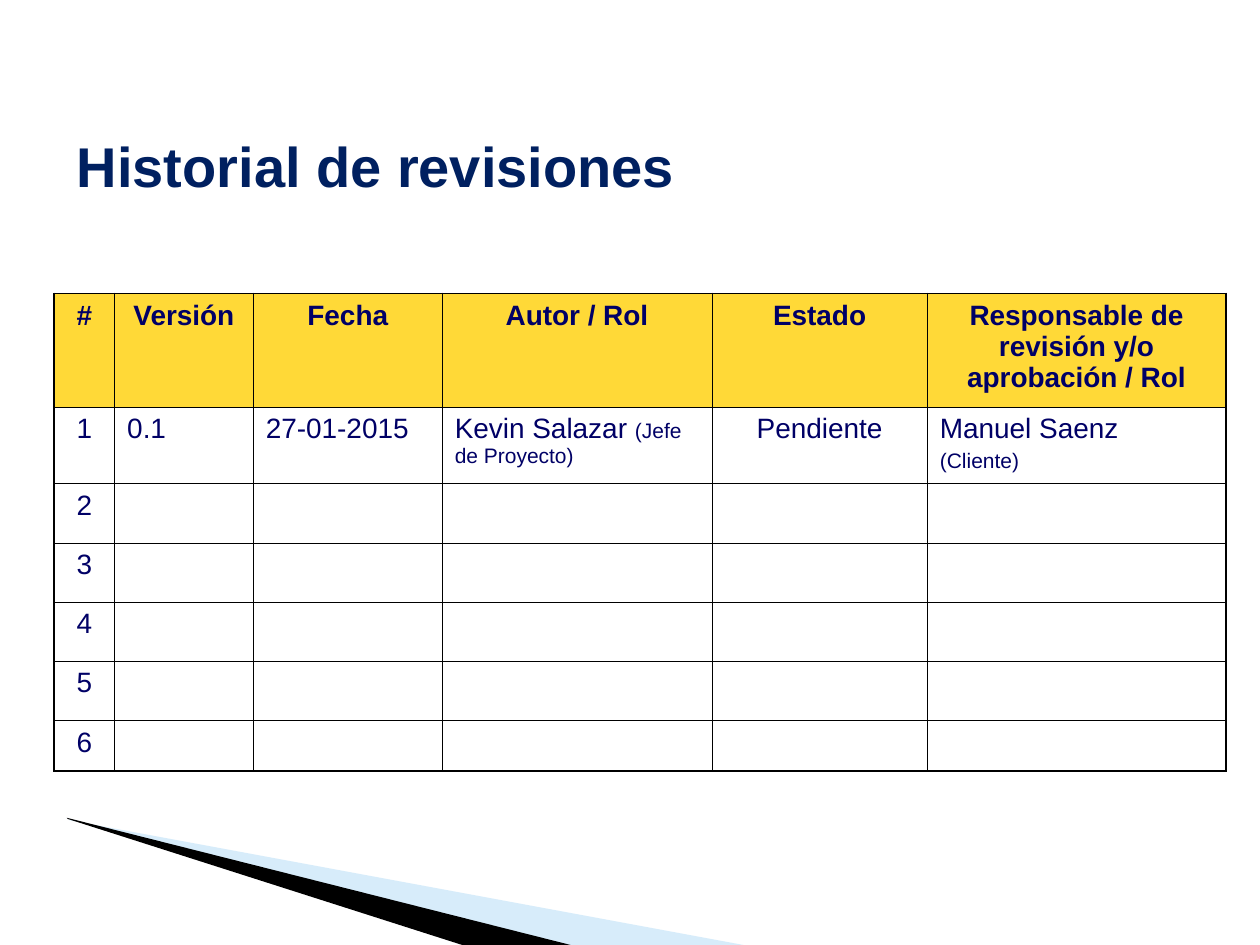
from dataclasses import dataclass

from lxml.etree import SubElement
from pptx import Presentation
from pptx.dml.color import RGBColor
from pptx.enum.text import MSO_ANCHOR, MSO_AUTO_SIZE, PP_ALIGN
from pptx.oxml.ns import qn
from pptx.util import Inches, Pt


@dataclass(frozen=True)
class Theme:
    font: str = "Arial"
    title_color: str = "002060"
    text_color: str = "000066"
    header_fill: str = "FFD937"
    black: str = "000000"
    light_blue: str = "9BD0F4"
    title_size: int = 32
    text_size: int = 16
    role_size: int = 12
    outer_line: float = 1.08
    inner_line: float = 0.45


THEME = Theme()

COLUMN_WIDTHS = [0.48, 1.1, 1.5, 2.14, 1.71, 2.37]
ROW_HEIGHTS = [0.9, 0.61, 0.47, 0.47, 0.47, 0.47, 0.39]
HEADERS = ["#", "Versión", "Fecha", "Autor / Rol", "Estado",
           "Responsable de revisión y/o aprobación / Rol"]
CENTERED_COLUMNS = (0, 4)


def add_text(para, text, size=THEME.text_size, color=THEME.text_color,
             bold=False, align=None, space_before=None):
    span = para.add_run()
    span.text = text
    span.font.name = THEME.font
    span.font.size = Pt(size)
    span.font.bold = bold
    span.font.color.rgb = RGBColor.from_string(color)
    if align is not None:
        para.alignment = align
    if space_before is not None:
        para.space_before = Pt(space_before)


def add_title(page, text):
    title = page.shapes.title
    title.left, title.top = Inches(0.51), Inches(0.99)
    title.width, title.height = Inches(4.95), Inches(0.64)
    frame = title.text_frame
    frame.word_wrap = False
    frame.auto_size = MSO_AUTO_SIZE.SHAPE_TO_FIT_TEXT
    frame.vertical_anchor = MSO_ANCHOR.TOP
    add_text(frame.paragraphs[0], text, size=THEME.title_size,
             color=THEME.title_color, bold=True, align=PP_ALIGN.LEFT)


def add_wedge(page, points, color, opacity=100):
    corners = [(Inches(x), Inches(y)) for x, y in points]
    builder = page.shapes.build_freeform(*corners[0], scale=1.0)
    builder.add_line_segments(corners[1:], close=True)
    wedge = builder.convert_to_shape()
    wedge.shadow.inherit = False
    wedge.line.fill.background()
    wedge.fill.solid()
    wedge.fill.fore_color.rgb = RGBColor.from_string(color)
    if opacity < 100:
        color_node = wedge.fill._xPr.find(qn("a:solidFill"))[0]
        SubElement(color_node, qn("a:alpha"), val=str(opacity * 1000))


def set_borders(cell, outer_sides):
    """Draw all four borders, heavier on the sides at the table's edge."""
    properties = cell._tc.get_or_add_tcPr()
    for side in "LRTB":
        width = THEME.outer_line if side in outer_sides else THEME.inner_line
        line = SubElement(properties, qn(f"a:ln{side}"), w=str(Pt(width)))
        fill = SubElement(line, qn("a:solidFill"))
        SubElement(fill, qn("a:srgbClr"), val=THEME.black)


def format_cell(cell, row, column):
    at_edge = {"L": column == 0, "R": column == len(COLUMN_WIDTHS) - 1,
               "T": row == 0, "B": row == len(ROW_HEIGHTS) - 1}
    set_borders(cell, [side for side, is_edge in at_edge.items() if is_edge])
    if row == 0:
        cell.fill.solid()
        cell.fill.fore_color.rgb = RGBColor.from_string(THEME.header_fill)
    else:
        cell.fill.background()


def add_revision_table(page):
    box = page.shapes.add_table(
        len(ROW_HEIGHTS), len(COLUMN_WIDTHS), Inches(0.43), Inches(2.33),
        Inches(sum(COLUMN_WIDTHS)), Inches(sum(ROW_HEIGHTS)))
    table = box.table
    table.first_row = table.horz_banding = False
    for column, width in zip(table.columns, COLUMN_WIDTHS):
        column.width = Inches(width)
    for row, height in zip(table.rows, ROW_HEIGHTS):
        row.height = Inches(height)
    for row in range(len(ROW_HEIGHTS)):
        for column in range(len(COLUMN_WIDTHS)):
            format_cell(table.cell(row, column), row, column)
    return table


def fill_revisions(table):
    for column, header in enumerate(HEADERS):
        add_text(table.cell(0, column).text_frame.paragraphs[0], header,
                 bold=True, align=PP_ALIGN.CENTER)
    for number in range(1, len(ROW_HEIGHTS)):
        add_text(table.cell(number, 0).text_frame.paragraphs[0], str(number),
                 align=PP_ALIGN.CENTER)
    first_revision = ["0.1", "27-01-2015", "Kevin Salazar ", "Pendiente",
                      "Manuel Saenz"]
    for column, text in enumerate(first_revision, start=1):
        centered = column in CENTERED_COLUMNS
        add_text(table.cell(1, column).text_frame.paragraphs[0], text,
                 align=PP_ALIGN.CENTER if centered else PP_ALIGN.LEFT)
    add_text(table.cell(1, 3).text_frame.paragraphs[0], "(Jefe de Proyecto)",
             size=THEME.role_size)
    add_text(table.cell(1, 5).text_frame.add_paragraph(), "(Cliente)",
             size=THEME.role_size, space_before=3)


def main():
    deck = Presentation()
    deck.slide_width, deck.slide_height = Inches(10), Inches(7.5)
    page = deck.slides.add_slide(deck.slide_layouts[5])
    add_wedge(page, [(0.55, 6.51), (5.9, 7.5), (4.52, 7.5), (0.55, 6.5)],
              THEME.light_blue, opacity=40)
    add_wedge(page, [(0.53, 6.49), (4.53, 7.5), (3.67, 7.5), (0.54, 6.5)],
              THEME.black)
    add_title(page, "Historial de revisiones")
    fill_revisions(add_revision_table(page))
    deck.save("out.pptx")


if __name__ == "__main__":
    main()
